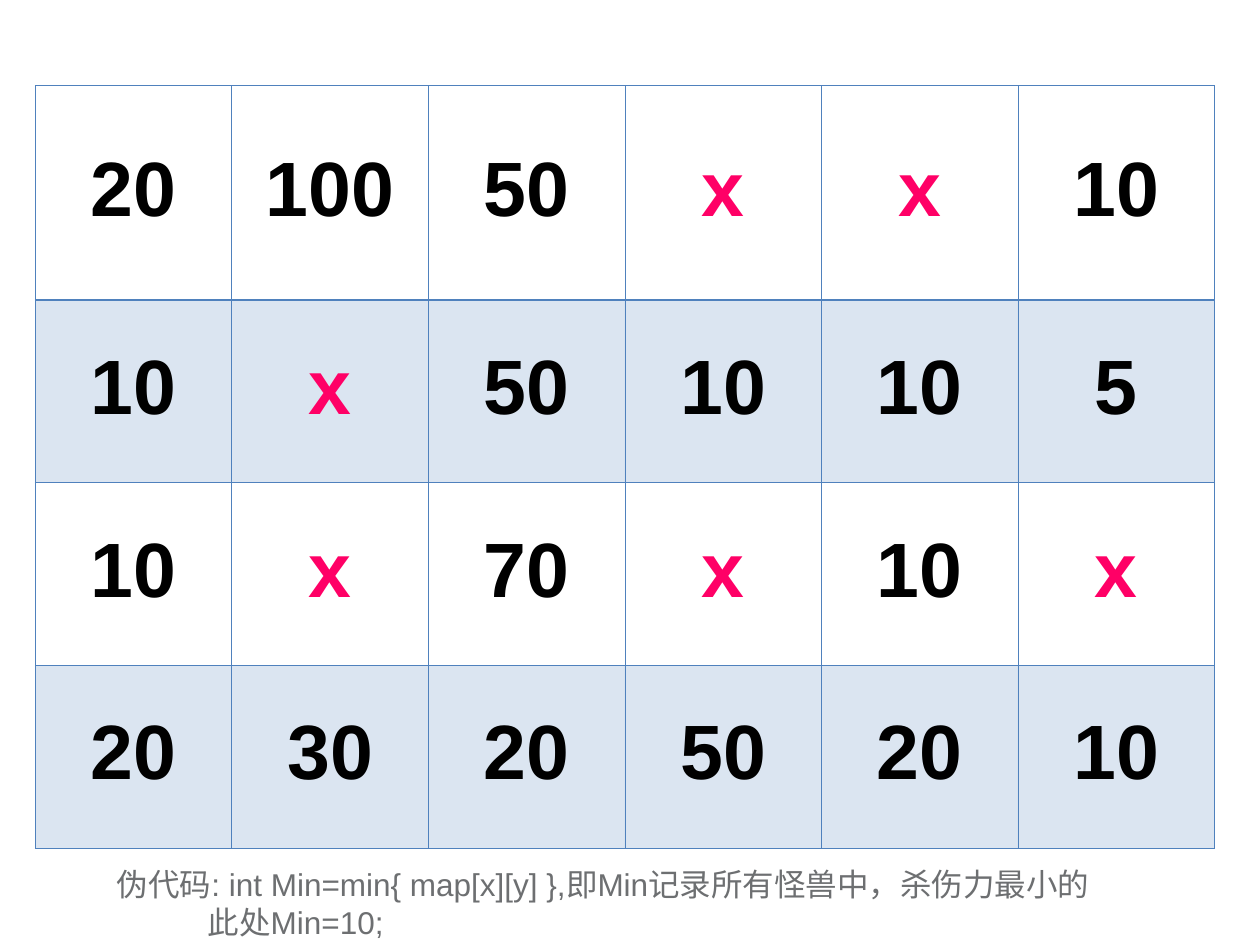
from lxml import etree
from pptx import Presentation
from pptx.dml.color import RGBColor
from pptx.enum.text import MSO_ANCHOR, MSO_AUTO_SIZE, PP_ALIGN
from pptx.oxml.ns import qn
from pptx.util import Inches, Pt

CENTER = PP_ALIGN.CENTER
MIDDLE = MSO_ANCHOR.MIDDLE
GROW = MSO_AUTO_SIZE.SHAPE_TO_FIT_TEXT
BLANK_LAYOUT = 6

DAMAGE_MAP = [
    ["20", "100", "50", "x", "x", "10"],
    ["10", "x", "50", "10", "10", "5"],
    ["10", "x", "70", "x", "10", "x"],
    ["20", "30", "20", "50", "20", "10"],
]
ROW_HEIGHTS = [1.7, 1.45, 1.45, 1.45]
COLUMN_WIDTH = 1.56
NOTE_LINES = [
    ("伪代码: int Min=min{ map[x][y] },即Min记录所有怪兽中，杀伤力最小的", 0),
    ("此处Min=10;", 0.72),
]


def color(value):
    return RGBColor.from_string(value)


class MapSlide:
    """Holds the style and the slide that shows the damage map."""

    font = "Arial"
    blue = "4F81BD"
    black = "000000"
    pink = "FF0066"
    gray = "6D6F71"
    thin = 0.45
    thick = 0.96

    def __init__(self, deck):
        self.page = deck.slides.add_slide(deck.slide_layouts[BLANK_LAYOUT])

    def format_text(self, para, size, value, bold=False):
        for span in para.runs:
            span.font.name = self.font
            span.font.size = Pt(size)
            span.font.bold = bold
            span.font.color.rgb = color(value)

    def border(self, cell, side, width):
        line = etree.SubElement(
            cell._tc.get_or_add_tcPr(), qn(f"a:ln{side}"), w=str(Pt(width))
        )
        fill = etree.SubElement(line, qn("a:solidFill"))
        etree.SubElement(fill, qn("a:srgbClr"), val=self.blue)

    def fill_cell(self, cell, banded):
        if not banded:
            cell.fill.background()
            return
        cell.fill.solid()
        cell.fill.fore_color.rgb = color(self.blue)
        tint = cell._tc.tcPr.find(f"{qn('a:solidFill')}/{qn('a:srgbClr')}")
        etree.SubElement(tint, qn("a:alpha"), val="20000")

    def table(self, left, top, rows, heights, column_width):
        columns = len(rows[0])
        frame = self.page.shapes.add_table(
            len(rows), columns, Inches(left), Inches(top),
            Inches(column_width * columns), Inches(sum(heights)),
        )
        table = frame.table
        table.first_row = False
        table.horz_banding = False
        for column in table.columns:
            column.width = Inches(column_width)
        for row_index, values in enumerate(rows):
            table.rows[row_index].height = Inches(heights[row_index])
            top_width = self.thick if row_index == 1 else self.thin
            bottom_width = self.thick if row_index == 0 else self.thin
            for column_index, value in enumerate(values):
                cell = table.cell(row_index, column_index)
                cell.vertical_anchor = MIDDLE
                for side, width in zip(
                    "LRTB", (self.thin, self.thin, top_width, bottom_width)
                ):
                    self.border(cell, side, width)
                self.fill_cell(cell, row_index % 2 == 1)
                para = cell.text_frame.paragraphs[0]
                para.text = value
                para.alignment = CENTER
                para.line_spacing = 0.9
                self.format_text(
                    para, 44, self.pink if value == "x" else self.black, True
                )

    def note(self, left, top, width, height, lines):
        box = self.page.shapes.add_textbox(
            Inches(left), Inches(top), Inches(width), Inches(height)
        )
        frame = box.text_frame
        frame.word_wrap = True
        frame.auto_size = GROW
        frame.text = "\n".join(text for text, _ in lines)
        for para, (_, indent) in zip(frame.paragraphs, lines):
            para._p.get_or_add_pPr().set("marL", str(Inches(indent)))
            self.format_text(para, 18, self.gray)


def main():
    deck = Presentation()
    deck.slide_width = Inches(10)
    deck.slide_height = Inches(7.5)
    slide = MapSlide(deck)
    slide.table(0.28, 0.68, DAMAGE_MAP, ROW_HEIGHTS, COLUMN_WIDTH)
    slide.note(0.83, 6.82, 8.25, 0.7, NOTE_LINES)
    deck.save("out.pptx")


if __name__ == "__main__":
    main()
